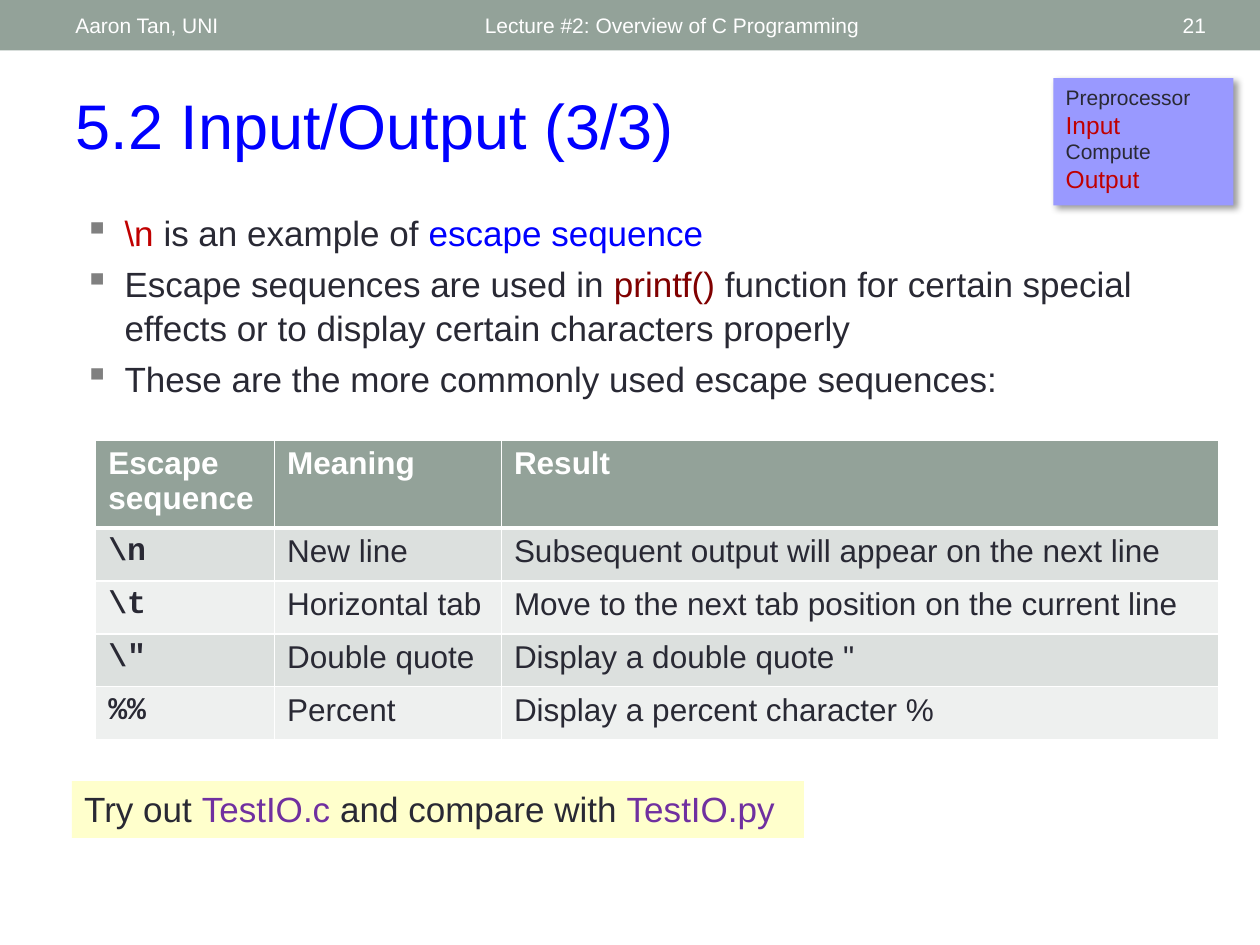
from dataclasses import dataclass

from lxml import etree
from pptx import Presentation
from pptx import util as u
from pptx.dml.color import RGBColor
from pptx.enum import shapes, text
from pptx.oxml.ns import qn


@dataclass(frozen=True)
class Theme:
    """Colours, fonts and type sizes of the slide."""
    font: str = "Arial"
    code_font: str = "Courier New"
    ink: str = "292934"
    white: str = "FFFFFF"
    band: str = "93A299"
    blue: str = "0000FF"
    red: str = "C00000"
    maroon: str = "800000"
    purple: str = "7030A0"
    bullet: str = "808080"
    steps: str = "9999FF"
    note: str = "FFFFCC"
    odd_row: str = "DCE0DE"
    even_row: str = "EEF0EF"
    title_size: int = 36
    body_size: int = 20
    table_size: int = 18
    step_size: int = 14
    small_size: int = 12


T = Theme()


def rgb(value):
    """Turn a hex string into a colour."""
    return RGBColor.from_string(value)


def sub(parent, tag, **attrs):
    """Append an XML child with the given attributes."""
    el = etree.SubElement(parent, qn(tag))
    for key, value in attrs.items():
        el.set(key, str(value))
    return el


def add_run(p, content, size=T.body_size, color=T.ink, font=T.font, bold=False):
    """Add one formatted run to a paragraph."""
    r = p.add_run()
    r.text = content
    r.font.size, r.font.name, r.font.bold = u.Pt(size), font, bold
    r.font.color.rgb = rgb(color)


def fill_text(tf, paragraphs, align=text.PP_ALIGN.LEFT, anchor=text.MSO_ANCHOR.TOP,
              before=0, spacing=1.0, bullet=None):
    """Write paragraphs, each a list of (text, run format) pairs."""
    tf.word_wrap = True
    tf.vertical_anchor = anchor
    for i, runs in enumerate(paragraphs):
        p = tf.paragraphs[0] if i == 0 else tf.add_paragraph()
        p.alignment, p.space_before, p.line_spacing = align, u.Pt(before), spacing
        if bullet:
            add_bullet(p, bullet)
        for content, fmt in runs:
            add_run(p, content, **fmt)


def add_bullet(p, char, indent=u.Inches(0.32)):
    """Give a paragraph a hanging bullet."""
    pPr = p._p.get_or_add_pPr()
    pPr.set("marL", str(indent))
    pPr.set("indent", str(-indent))
    sub(sub(pPr, "a:buClr"), "a:srgbClr", val=T.bullet)
    sub(pPr, "a:buChar", char=char)


def add_text(s, at, paragraphs, **fmt):
    """Add a text box at (left, top, width, height) in inches."""
    sp = s.shapes.add_textbox(*map(u.Inches, at))
    fill_text(sp.text_frame, paragraphs, **fmt)


def add_box(s, at, fill, paragraphs=(), **fmt):
    """Add a filled rectangle without outline."""
    sp = s.shapes.add_shape(shapes.MSO_SHAPE.RECTANGLE, *map(u.Inches, at))
    sp.shadow.inherit = False
    sp.fill.solid()
    sp.fill.fore_color.rgb = rgb(fill)
    sp.line.fill.background()
    fill_text(sp.text_frame, paragraphs, **fmt)
    return sp


def add_shadow(sp):
    """Give a shape a soft shadow to the lower right."""
    effects = sp._element.spPr.find(qn("a:effectLst"))
    shadow = sub(effects, "a:outerShdw", blurRad=u.Pt(4), dist=u.Pt(3),
                 dir=45 * 60000, algn="tl", rotWithShape=0)
    sub(sub(shadow, "a:srgbClr", val="000000"), "a:alpha", val=40000)


def set_borders(cell, **widths):
    """Draw white cell borders; widths in points by side."""
    tcPr = cell._tc.get_or_add_tcPr()
    for side in "LRTB":
        ln = sub(tcPr, f"a:ln{side}", w=u.Pt(widths.get(side, 1)))
        sub(sub(ln, "a:solidFill"), "a:srgbClr", val=T.white)


def add_table(s, left, top, widths, heights, rows):
    """Add a banded table with a header row and code in the first column."""
    shape = s.shapes.add_table(len(rows), len(widths), u.Inches(left), u.Inches(top),
                               u.Inches(sum(widths)), u.Inches(sum(heights)))
    table = shape.table
    for col, width in zip(table.columns, widths):
        col.width = u.Inches(width)
    for i, (values, height) in enumerate(zip(rows, heights)):
        table.rows[i].height = u.Inches(height)
        head = i == 0
        fill = T.band if head else (T.odd_row if i % 2 else T.even_row)
        for j, value in enumerate(values):
            cell = table.cell(i, j)
            set_borders(cell, T=3 if i == 1 else 1, B=3 if head else 1)
            cell.fill.solid()
            cell.fill.fore_color.rgb = rgb(fill)
            code = j == 0 and not head
            add_run(cell.text_frame.paragraphs[0], value, T.table_size,
                    T.white if head else T.ink,
                    T.code_font if code else T.font, head or code)


def add_header(s):
    """Add the top band with author, lecture and slide number."""
    add_box(s, (0, 0, 10, 0.4), T.band)
    fmt = dict(size=T.small_size, color=T.white)
    left, right = text.PP_ALIGN.LEFT, text.PP_ALIGN.RIGHT
    for x, width, align, label in (
            (3.75, 4.5, left, "Lecture #2: Overview of C Programming"),
            (0.5, 3.17, left, "Aaron Tan, UNI"),
            (8.72, 0.95, right, "21")):
        add_text(s, (x, 0.02, width, 0.36), [[(label, fmt)]],
                 align=align, anchor=text.MSO_ANCHOR.MIDDLE)


def set_title(s, at, label):
    """Place and format the title placeholder."""
    sp = s.shapes.title
    sp.left, sp.top, sp.width, sp.height = map(u.Inches, at)
    fill_text(sp.text_frame, [[(label, dict(size=T.title_size, color=T.blue))]])


def main():
    """Build the slide and save it."""
    prs = Presentation()
    prs.slide_width, prs.slide_height = u.Inches(10), u.Inches(7.5)
    s = prs.slides.add_slide(prs.slide_layouts[5])
    add_header(s)
    set_title(s, (0.5, 0.64, 9.29, 0.71), "5.2 Input/Output (3/3)")

    plain = dict(size=T.small_size)
    active = dict(size=T.step_size, color=T.red)
    steps = [("Preprocessor", plain), ("Input", active),
             ("Compute", plain), ("Output", active)]
    add_shadow(add_box(s, (8.36, 0.62, 1.43, 1.01), T.steps, [[step] for step in steps]))

    add_text(s, (0.57, 1.61, 9, 1.77), [
        [("\\n ", dict(color=T.red)), ("is an example of ", {}),
         ("escape sequence", dict(color=T.blue))],
        [("Escape sequences are used in ", {}), ("printf() ", dict(color=T.maroon)),
         ("function for certain special effects or to display certain "
          "characters properly", {})],
        [("These are the more commonly used escape sequences:", {})],
    ], before=4, spacing=1.05, bullet="▪")

    add_table(s, 0.76, 3.49, (1.42, 1.8, 5.69), (0.65,) + (0.42,) * 4, (
        ("Escape sequence", "Meaning", "Result"),
        ("\\n", "New line", "Subsequent output will appear on the next line"),
        ("\\t", "Horizontal tab", "Move to the next tab position on the current line"),
        ('\\"', "Double quote", 'Display a double quote "'),
        ("%%", "Percent", "Display a percent character %")))

    program = dict(color=T.purple)
    add_box(s, (0.57, 6.2, 5.81, 0.45), T.note, [
        [("Try out ", {}), ("TestIO.c ", program),
         ("and compare with ", {}), ("TestIO.py", program)]], before=4)
    prs.save("out.pptx")


main()
